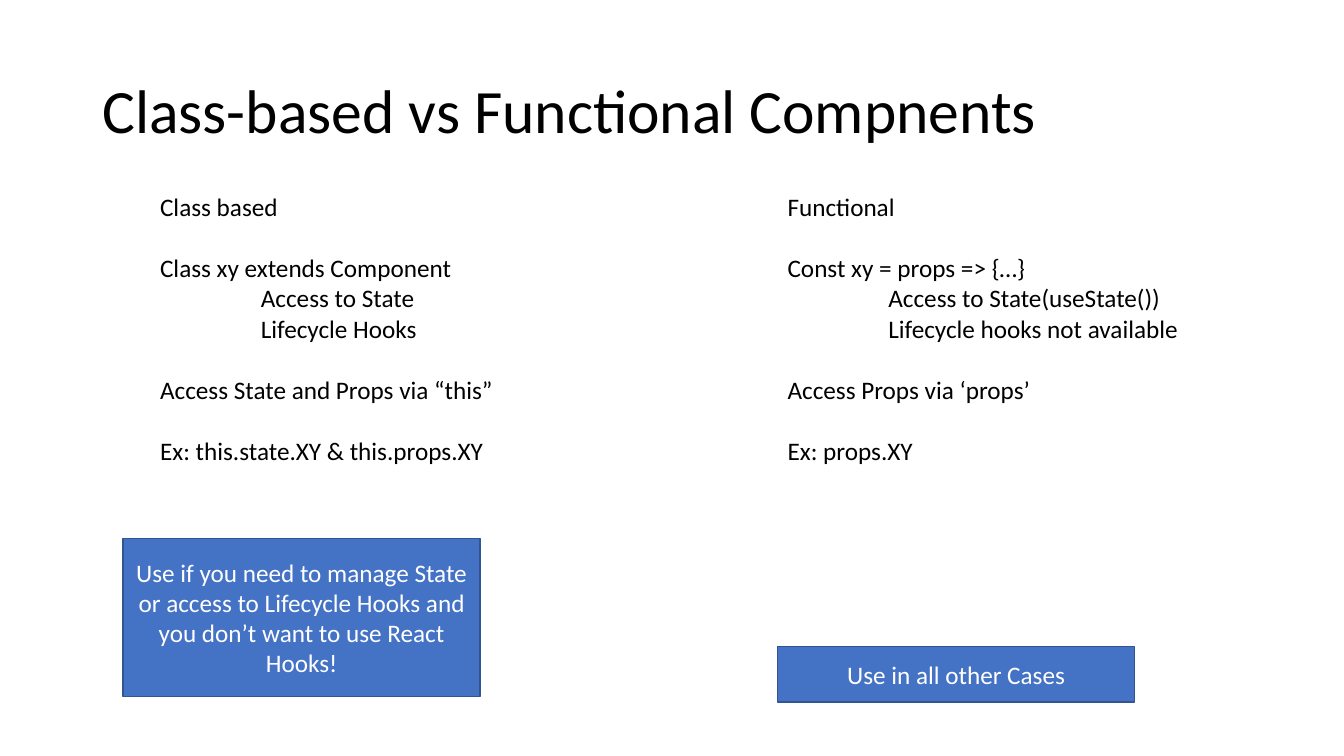
from dataclasses import dataclass
from typing import Any, NamedTuple

import pptx
import pptx.dml.color
import pptx.enum.shapes
import pptx.enum.text
import pptx.util

Pt = pptx.util.Pt
Align = pptx.enum.text.PP_ALIGN
Anchor = pptx.enum.text.MSO_ANCHOR


@dataclass(frozen=True)
class Theme:
    font: str = "Calibri"
    title_size: float = 44
    body_size: float = 18
    text: str = "000000"
    box_text: str = "FFFFFF"
    box_fill: str = "4472C4"
    box_line: str = "325491"
    line_gap: float = 22
    indent: float = 72


class Box(NamedTuple):
    left: float
    top: float
    width: float
    height: float


class Line(NamedTuple):
    text: str
    level: int = 0
    gap_before: bool = False


class ComponentKind(NamedTuple):
    lines: list[Line]
    lines_box: Box
    advice: str
    advice_box: Box


THEME = Theme()

TITLE = Line("Class-based vs Functional Compnents")
TITLE_BOX = Box(66, 28.75, 828, 104.4)

KINDS = [
    ComponentKind(
        [
            Line("Class based"),
            Line("Class xy extends Component", gap_before=True),
            Line("Access to State", level=1),
            Line("Lifecycle Hooks", level=1),
            Line("Access State and Props via “this”", gap_before=True),
            Line("Ex: this.state.XY & this.props.XY", gap_before=True),
        ],
        Box(107.3, 133.2, 255, 225.4),
        "Use if you need to manage State or access to Lifecycle Hooks "
        "and you don’t want to use React Hooks!",
        Box(88, 384.5, 255, 113),
    ),
    ComponentKind(
        [
            Line("Functional"),
            Line("Const xy = props => {…}", gap_before=True),
            Line("Access to State(useState())", level=1),
            Line("Lifecycle hooks not available", level=1),
            Line("Access Props via ‘props’", gap_before=True),
            Line("Ex: props.XY", gap_before=True),
        ],
        Box(555.5, 133.2, 297, 203.8),
        "Use in all other Cases",
        Box(555.5, 462, 255, 39.6),
    ),
]


def rgb(color: str) -> pptx.dml.color.RGBColor:
    return pptx.dml.color.RGBColor.from_string(color)


def points(box: Box) -> list[pptx.util.Length]:
    return [Pt(length) for length in box]


def write_text(
    shape: Any,
    lines: list[Line],
    *,
    size: float = THEME.body_size,
    color: str = THEME.text,
    align: Align = Align.LEFT,
    anchor: Anchor = Anchor.TOP,
    line_spacing: float = 1.0,
) -> None:
    frame = shape.text_frame
    frame.word_wrap = True
    frame.vertical_anchor = anchor
    for index, line in enumerate(lines):
        paragraph = frame.add_paragraph() if index else frame.paragraphs[0]
        paragraph.alignment = align
        paragraph.line_spacing = line_spacing
        if line.gap_before:
            paragraph.space_before = Pt(THEME.line_gap)
        if line.level:
            properties = paragraph._p.get_or_add_pPr()
            properties.set("marL", str(Pt(THEME.indent * line.level)))
        run = paragraph.add_run()
        run.text = line.text
        run.font.name = THEME.font
        run.font.size = Pt(size)
        run.font.color.rgb = rgb(color)


def draw_advice(slide: Any, advice: str, box: Box) -> None:
    shape = slide.shapes.add_shape(
        pptx.enum.shapes.MSO_SHAPE.RECTANGLE, *points(box)
    )
    shape.shadow.inherit = False
    shape.fill.solid()
    shape.fill.fore_color.rgb = rgb(THEME.box_fill)
    shape.line.color.rgb = rgb(THEME.box_line)
    shape.line.width = Pt(1)
    write_text(
        shape,
        [Line(advice)],
        color=THEME.box_text,
        align=Align.CENTER,
        anchor=Anchor.MIDDLE,
    )


def draw_kind(slide: Any, kind: ComponentKind) -> None:
    write_text(slide.shapes.add_textbox(*points(kind.lines_box)), kind.lines)
    draw_advice(slide, kind.advice, kind.advice_box)


def main() -> None:
    presentation = pptx.Presentation()
    presentation.slide_width = Pt(960)
    presentation.slide_height = Pt(540)
    slide = presentation.slides.add_slide(presentation.slide_layouts[6])
    write_text(
        slide.shapes.add_textbox(*points(TITLE_BOX)),
        [TITLE],
        size=THEME.title_size,
        anchor=Anchor.MIDDLE,
        line_spacing=0.9,
    )
    for kind in KINDS:
        draw_kind(slide, kind)
    presentation.save("out.pptx")


main()
